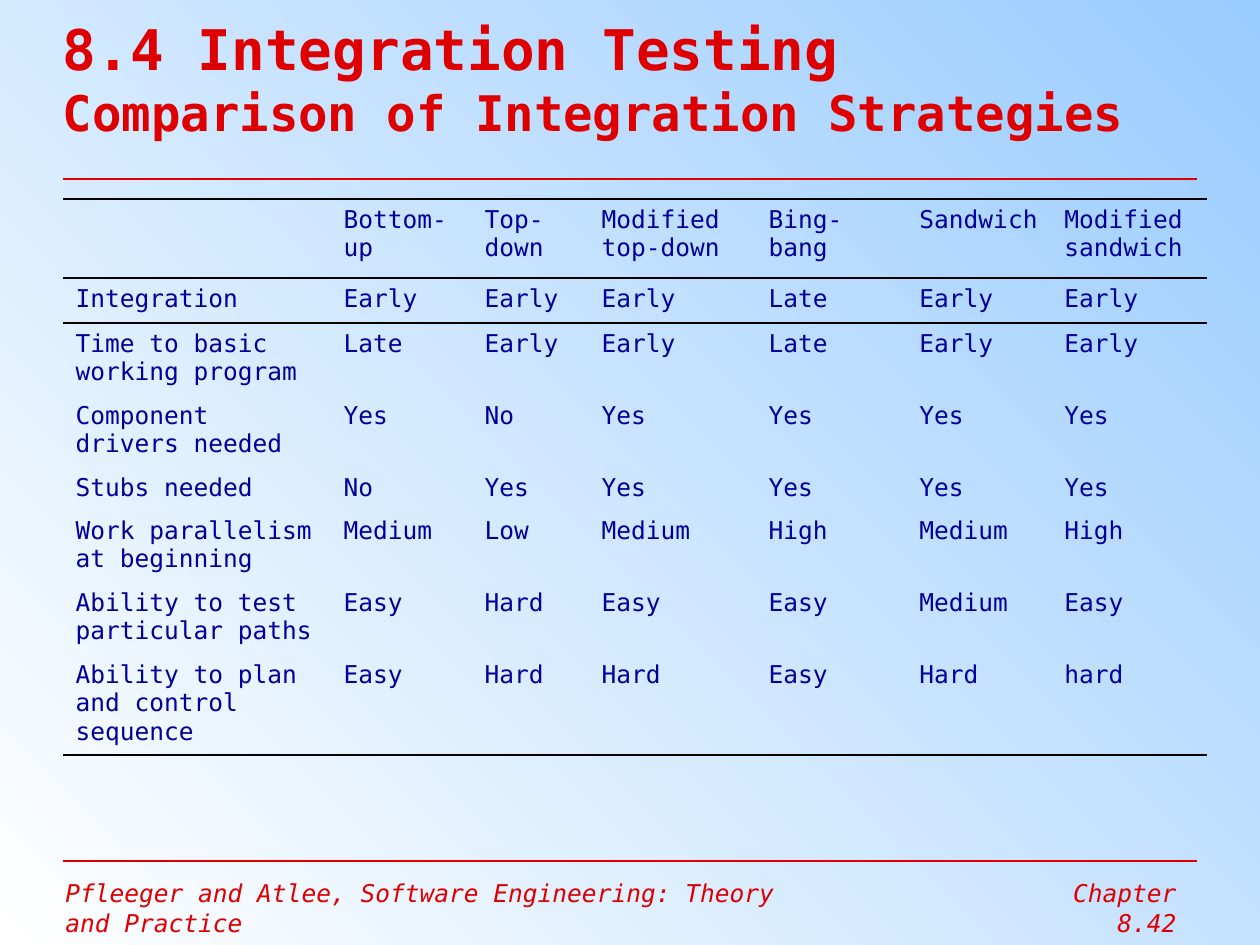
from lxml import etree
from pptx import Presentation
from pptx import util as u
from pptx.dml.color import RGBColor
from pptx.enum import shapes, text
from pptx.oxml.ns import qn

EMU_PER_PX = 9144000 / 1260
NO_TABLE_STYLE = "{2D5ABB26-0587-4C30-8999-92F81FD0307C}"


def px(n):
    return u.Emu(round(n * EMU_PER_PX))


def color(value):
    return RGBColor.from_string(value)


class Deck:
    font = "DejaVu Sans Mono"
    red, blue, black = "DE0000", "000099", "000000"

    def __init__(self, width, height):
        self.prs = Presentation()
        self.prs.slide_width, self.prs.slide_height = px(width), px(height)
        self.s = self.prs.slides.add_slide(self.prs.slide_layouts[6])

    def background(self, start, end, angle):
        fill = self.s.background.fill
        fill.gradient()
        fill.gradient_angle = angle
        for stop, value, position in zip(fill.gradient_stops, (start, end), (0, 1)):
            stop.color.rgb = color(value)
            stop.position = position

    def run(self, p, words, size, value, bold=False, italic=False):
        r = p.add_run()
        r.text = words
        f = r.font
        f.name, f.size, f.bold, f.italic = self.font, u.Pt(size), bold, italic
        f.color.rgb = color(value)

    def text_box(self, x, y, w, h):
        tf = self.s.shapes.add_textbox(px(x), px(y), px(w), px(h)).text_frame
        tf.word_wrap = True
        return tf

    def title(self, x, y, w, h, heading, subheading):
        tf = self.text_box(x, y, w, h)
        tf.margin_left = tf.margin_right = tf.margin_top = tf.margin_bottom = 0
        tf.vertical_anchor = text.MSO_ANCHOR.MIDDLE
        p = tf.paragraphs[0]
        self.run(p, heading, 32, self.red, bold=True)
        p.add_line_break()
        self.run(p, subheading, 28, self.red, bold=True)

    def footer(self, x, y, w, h, words, align):
        tf = self.text_box(x, y, w, h)
        tf.auto_size = text.MSO_AUTO_SIZE.SHAPE_TO_FIT_TEXT
        p = tf.paragraphs[0]
        p.alignment = align
        self.run(p, words, 14, self.red, italic=True)

    def rule(self, x1, y1, x2, y2, weight):
        line = self.s.shapes.add_connector(
            shapes.MSO_CONNECTOR.STRAIGHT, px(x1), px(y1), px(x2), px(y2))
        line.line.color.rgb = color(self.red)
        line.line.width = u.Pt(weight)
        etree.SubElement(line._element.spPr, qn("a:effectLst"))

    def border(self, cell, side):
        ln = etree.SubElement(cell._tc.get_or_add_tcPr(), qn("a:ln" + side),
                              w=str(u.Pt(1.08)))
        fill = etree.SubElement(ln, qn("a:solidFill"))
        etree.SubElement(fill, qn("a:srgbClr"), val=self.black)

    def table(self, x, y, widths, heights, rows):
        frame = self.s.shapes.add_table(
            len(rows), len(widths), px(x), px(y), px(sum(widths)), px(sum(heights)))
        table = frame.table
        table.first_row = table.horz_banding = False
        frame._element.find(".//" + qn("a:tableStyleId")).text = NO_TABLE_STYLE
        for column, width in zip(table.columns, widths):
            column.width = px(width)
        for i, (row, height, words) in enumerate(zip(table.rows, heights, rows)):
            row.height = px(height)
            for cell, entry in zip(row.cells, words):
                # Lines enclose the header and close the last row
                if i in (0, 1):
                    self.border(cell, "T")
                if i in (0, len(rows) - 1):
                    self.border(cell, "B")
                cell.fill.background()
                if entry:
                    self.run(cell.text_frame.paragraphs[0], entry, 14, self.blue)


def main():
    deck = Deck(1260, 945)
    deck.background("99CCFF", "FFFFFF", 225)

    # Footer and rules
    deck.footer(53, 872, 756, 43,
                "Pfleeger and Atlee, Software Engineering: Theory and Practice",
                text.PP_ALIGN.LEFT)
    deck.rule(63, 861, 1197, 861, 0.75)
    deck.rule(63, 179, 1197, 179, 1.5)
    deck.footer(987, 872, 202, 47, "Chapter 8.42", text.PP_ALIGN.RIGHT)

    # Title
    deck.title(63, 0, 1133, 156, "8.4 Integration Testing",
               "Comparison of Integration Strategies")

    # Comparison table
    deck.table(
        63, 199,
        widths=[268, 141, 117, 167, 151, 145, 155],
        heights=[79, 45, 72, 72, 43, 72, 72, 72],
        rows=[
            ["", "Bottom-up", "Top-down", "Modified top-down", "Bing-bang",
             "Sandwich", "Modified sandwich"],
            ["Integration", "Early", "Early", "Early", "Late", "Early", "Early"],
            ["Time to basic working program",
             "Late", "Early", "Early", "Late", "Early", "Early"],
            ["Component drivers needed", "Yes", "No", "Yes", "Yes", "Yes", "Yes"],
            ["Stubs needed", "No", "Yes", "Yes", "Yes", "Yes", "Yes"],
            ["Work parallelism at beginning",
             "Medium", "Low", "Medium", "High", "Medium", "High"],
            ["Ability to test particular paths",
             "Easy", "Hard", "Easy", "Easy", "Medium", "Easy"],
            ["Ability to plan and control sequence",
             "Easy", "Hard", "Hard", "Easy", "Hard", "hard"],
        ])
    deck.prs.save("out.pptx")


if __name__ == "__main__":
    main()
